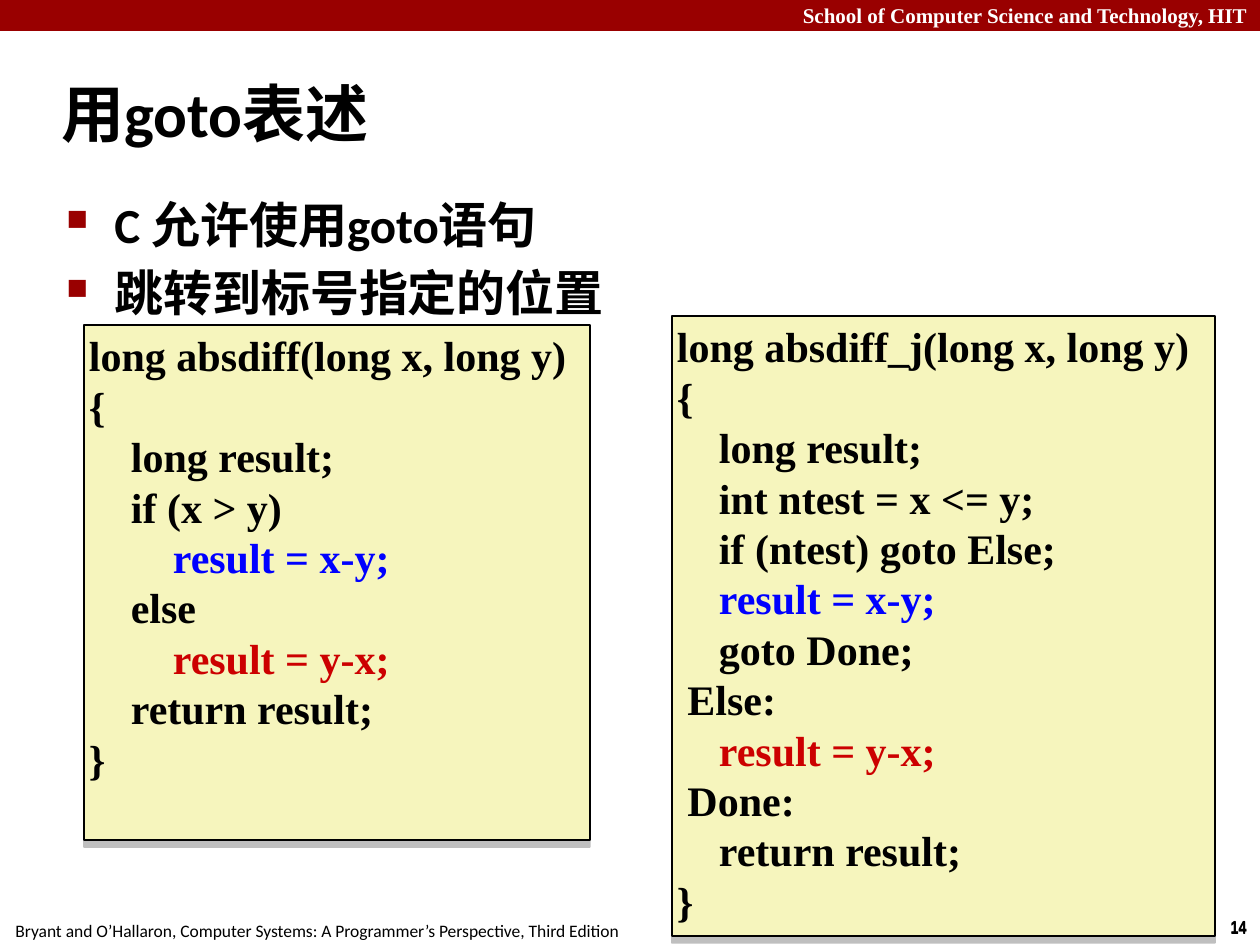
import lxml.etree
import pptx
import pptx.dml.color
import pptx.enum.shapes
import pptx.enum.text
import pptx.oxml
import pptx.oxml.ns
import pptx.util

PX = 914400 / 126  # EMU per px
BLACK, WHITE, CRIMSON = "000000", "FFFFFF", "990000"
hex_color = pptx.dml.color.RGBColor.from_string
qn = pptx.oxml.ns.qn
ALIGN = pptx.enum.text.PP_ALIGN
RECTANGLE = pptx.enum.shapes.MSO_SHAPE.RECTANGLE


def emu(*lengths):
    return [round(length * PX) for length in lengths]


def add_span(para, text, size, font, color=BLACK, bold=True):
    span = para.add_run()
    span.text = text
    span.font.size = pptx.util.Pt(size)
    span.font.name = font
    span.font.bold = bold
    span.font.color.rgb = hex_color(color)


deck = pptx.Presentation()
deck.slide_width, deck.slide_height = emu(1260, 945)
page = deck.slides.add_slide(deck.slide_layouts[6])

# Header band
band = page.shapes.add_shape(RECTANGLE, *emu(0, 0, 1260, 31))
band.shadow.inherit = False
band.fill.solid()
band.fill.fore_color.rgb = hex_color(CRIMSON)
band.line.fill.background()

# Header and footer: place, wrap, alignment, then text and its look
labels = [
    ((0, -4, 1260, 38), True, ALIGN.RIGHT,
     ("School of Computer Science and Technology, HIT", 12, "Times New Roman", WHITE)),
    ((1217, 911, 43, 34), False, ALIGN.CENTER, ("14", 10, "Arial Narrow")),
    ((1217, 910, 43, 34), False, ALIGN.CENTER, ("14", 10, "Arial Narrow")),
    ((-3, 914, 640, 34), False, ALIGN.CENTER,
     ("Bryant and O’Hallaron, Computer Systems: A Programmer’s Perspective, Third Edition",
      10, "Calibri", BLACK, False)),
]
for place, wrap, align, content in labels:
    box = page.shapes.add_textbox(*emu(*place))
    box.text_frame.word_wrap = wrap
    para = box.text_frame.paragraphs[0]
    para.alignment = align
    add_span(para, *content)

# Title
title = page.shapes.add_textbox(*emu(49, 60, 1211, 105))
title.text_frame.word_wrap = True
title.text_frame.vertical_anchor = pptx.enum.text.MSO_ANCHOR.MIDDLE
add_span(title.text_frame.paragraphs[0], "用goto表述", 36, "Calibri")

# Bullets
body = page.shapes.add_textbox(*emu(54, 188, 1184, 726))
body.text_frame.word_wrap = True
for index, text in enumerate(["C 允许使用goto语句", "跳转到标号指定的位置"]):
    para = body.text_frame.add_paragraph() if index else body.text_frame.paragraphs[0]
    if index:
        para.space_before = pptx.util.Pt(5.6)
    properties = para._p.get_or_add_pPr()
    indent, = emu(48)
    properties.set("marL", str(indent))
    properties.set("indent", str(-indent))
    bullet_color = lxml.etree.SubElement(properties, qn("a:buClr"))
    lxml.etree.SubElement(bullet_color, qn("a:srgbClr"), val=CRIMSON)
    lxml.etree.SubElement(properties, qn("a:buSzPct"), val="60000")
    lxml.etree.SubElement(properties, qn("a:buChar"), char="■")
    add_span(para, text, 28, "Calibri")

# Code panels
code_colors = {"result = x-y;": "0000FF", "result = y-x;": "CC0000"}
branch_code = """long absdiff(long x, long y)
{
    long result;
    if (x > y)
        result = x-y;
    else
        result = y-x;
    return result;
}"""
goto_code = """long absdiff_j(long x, long y)
{
    long result;
    int ntest = x <= y;
    if (ntest) goto Else;
    result = x-y;
    goto Done;
 Else:
    result = y-x;
 Done:
    return result;
}"""
for place, code in [((84, 325, 506, 515), branch_code), ((672, 316, 543, 620), goto_code)]:
    panel = page.shapes.add_shape(RECTANGLE, *emu(*place))
    panel.fill.solid()
    panel.fill.fore_color.rgb = hex_color("F6F5BD")
    panel.line.color.rgb = hex_color(BLACK)
    panel.line.width = pptx.util.Pt(1)
    panel.shadow.inherit = False
    effects = panel._element.spPr.find(qn("a:effectLst"))
    shadow = lxml.etree.SubElement(effects, qn("a:outerShdw"), blurRad="0",
                                   dist=str(pptx.util.Pt(4)), dir="5400000",
                                   algn="ctr", rotWithShape="0")
    shade = lxml.etree.SubElement(shadow, qn("a:srgbClr"), val="808080")
    lxml.etree.SubElement(shade, qn("a:alpha"), val="50000")

    frame = panel.text_frame
    frame.word_wrap = True
    frame.vertical_anchor = pptx.enum.text.MSO_ANCHOR.TOP
    frame.margin_left, frame.margin_top, frame.margin_right, frame.margin_bottom = emu(5, 5, 5, 5)
    for index, line in enumerate(code.split("\n")):
        para = frame.add_paragraph() if index else frame.paragraphs[0]
        para.alignment = ALIGN.LEFT
        statement = line.strip()
        if statement in code_colors:
            add_span(para, line.removesuffix(statement), 24, "Times New Roman")
            add_span(para, statement, 24, "Times New Roman", code_colors[statement])
        else:
            add_span(para, line, 24, "Times New Roman")

deck.save("out.pptx")
